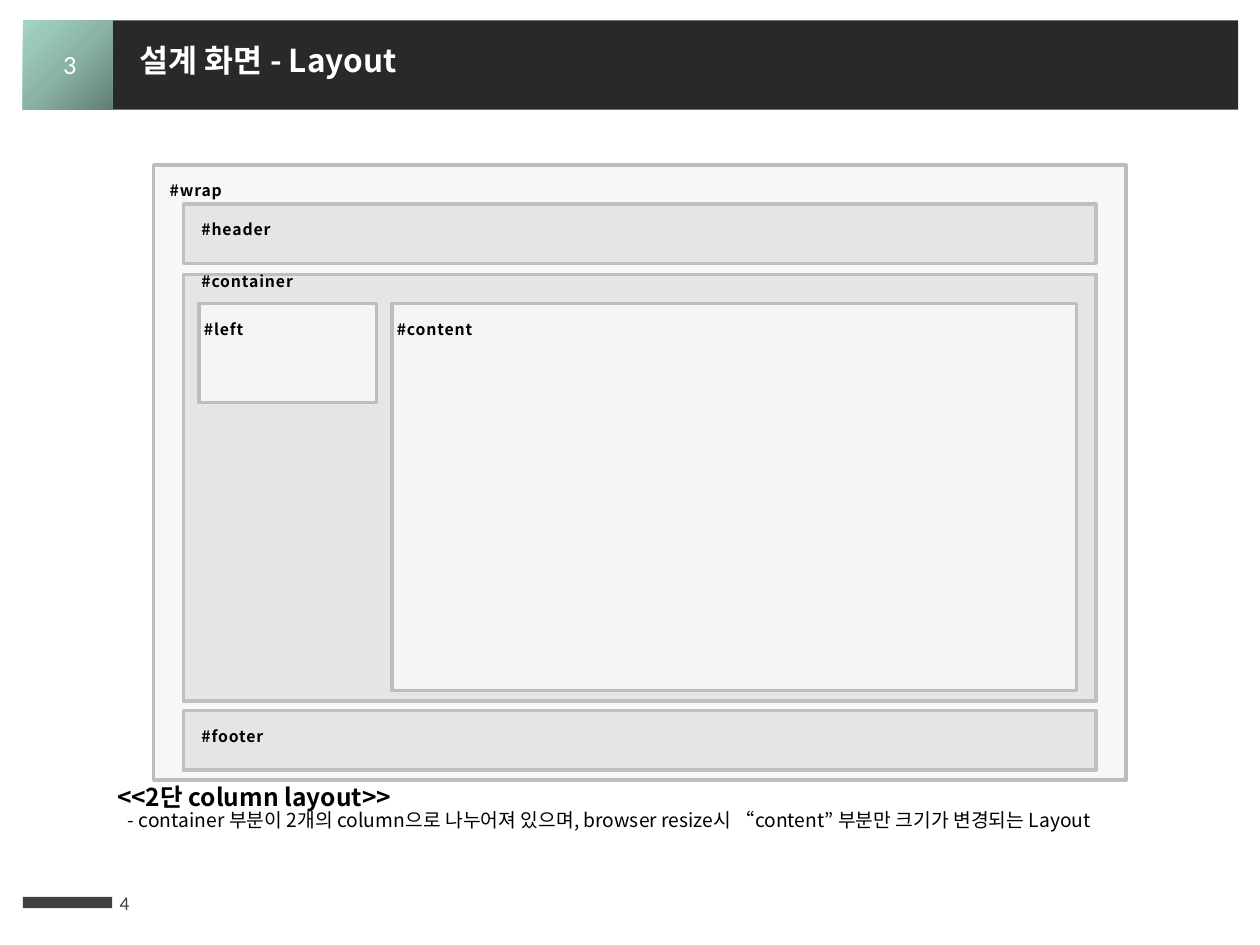
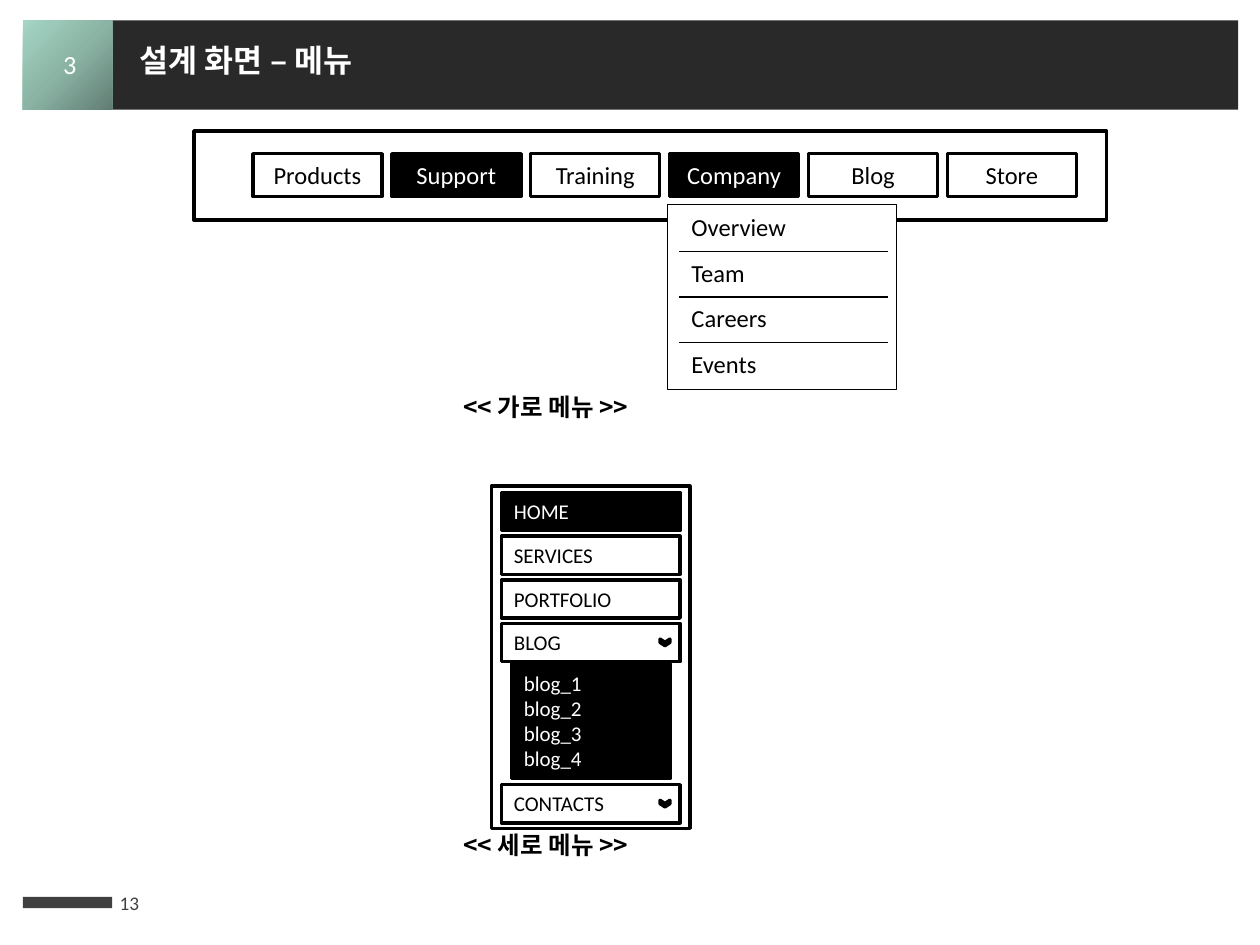
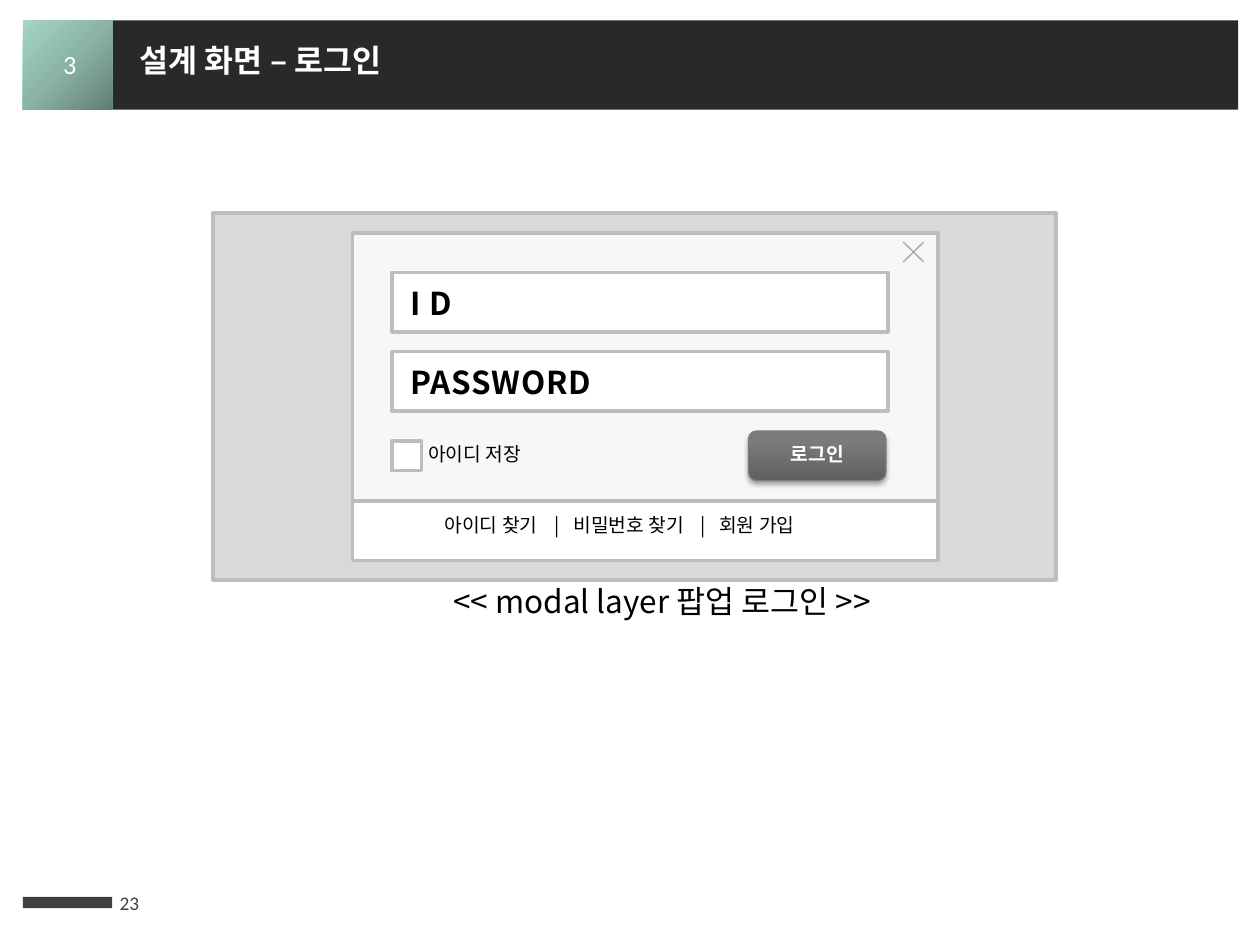
from lxml import etree
from pptx import Presentation
from pptx.dml.color import RGBColor as RGB
from pptx.enum.shapes import MSO_CONNECTOR as Link, MSO_SHAPE as Kind
from pptx.enum.text import MSO_ANCHOR as Anchor, PP_ALIGN as Align
from pptx.oxml import parse_xml
from pptx.oxml.ns import nsdecls, qn
from pptx.util import Cm, Pt

BLACK, WHITE = RGB(0, 0, 0), RGB(255, 255, 255)
BAND, FOOT = RGB(0x29, 0x29, 0x29), RGB(0x40, 0x40, 0x40)
EDGE, RIM = RGB(0xBD, 0xBD, 0xBD), RGB(0xBF, 0xBF, 0xBF)
PALE, GRAY, DIM = RGB(0xF7, 0xF7, 0xF7), RGB(0xE5, 0xE5, 0xE5), RGB(0xD9, 0xD9, 0xD9)
CROSS, STEEL = RGB(0xA6, 0xA6, 0xA6), RGB(0x7C, 0x7C, 0x7C)
MINT = [(0, "627E74"), (50, "8BB4A5"), (100, "A5D5C4")]
METAL = [(0, "5F5F5F"), (80, "7B7B7B"), (100, "7C7C7C")]
ROUND = '<a:path path="circle"><a:fillToRect l="100000" t="100000"/></a:path>'
UP = '<a:lin ang="16200000" scaled="0"/>'
SANS, KOR = "Calibri", "Noto Sans CJK KR"
TIGHT = 0.87

LAYOUT = [
    ("#wrap", (3.1, 3.33, 19.6, 12.4), PALE, EDGE, 0.32, 0.37),
    ("#container", (3.7, 5.53, 18.4, 8.6), GRAY, RIM, 0.36, 0),
    ("#content", (7.9, 6.12, 13.8, 7.8), None, EDGE, 0.1, 0.38),
    ("#left", (4.01, 6.12, 3.58, 2), None, EDGE, 0.1, 0.38),
    ("#header", (3.7, 4.11, 18.4, 1.2), GRAY, RIM, 0.36, 0.38),
    ("#footer", (3.7, 14.32, 18.4, 1.2), GRAY, RIM, 0.36, 0.38),
]
NOTE = ["<<2단 column layout>>",
        "- container 부분이 2개의 column으로 나누어져 있으며, browser resize시 “content” 부분만 크기가 변경되는 Layout"]
TABS = ["Products", "Support", "Training", "Company", "Blog", "Store"]
DROP = ["Overview", "Team", "Careers", "Events"]
SIDE = [("HOME", 9.93), ("SERVICES", 10.81), ("PORTFOLIO", 11.69),
        ("BLOG", 12.57), ("CONTACTS", 15.82)]
POSTS = ["blog_1", "blog_2", "blog_3", "blog_4"]
DARK, OPEN = {"Support", "Company", "HOME"}, {"BLOG", "CONTACTS"}
FIELDS = [("I D", 5.49), ("PASSWORD", 7.09)]
LINKS = ["아이디 찾기", "|", "비밀번호 찾기", "|", "회원 가입"]
STOPS = [2.22, 2.6, 5.16, 5.54]


def write(shape, lines, size, color=BLACK, font=SANS, bold=False, align=Align.LEFT,
          anchor=Anchor.TOP, inset=None, gap=None, track=0, stops=()):
    frame = shape.text_frame
    frame.word_wrap = True
    frame.vertical_anchor = anchor
    if inset:
        frame.margin_left, frame.margin_top = map(Cm, inset)
        frame.margin_right = frame.margin_bottom = 0
    lines = [lines] if isinstance(lines, str) else lines
    for i, line in enumerate(lines):
        para = frame.paragraphs[0] if i == 0 else frame.add_paragraph()
        para.text = line
        para.alignment = align
        if font == KOR:
            para.line_spacing = gap or TIGHT
        if stops:
            tabs = etree.SubElement(para._p.get_or_add_pPr(), qn("a:tabLst"))
            for stop in stops:
                etree.SubElement(tabs, qn("a:tab"), pos=str(Cm(stop)), algn="l")
        para.font.size, para.font.bold = Pt(size), bold
        para.font.name, para.font.color.rgb = font, color
        for run in para.runs:
            props = run._r.get_or_add_rPr()
            if track:
                props.set("spc", str(int(track * 100)))
            if font == KOR:
                etree.SubElement(props, qn("a:ea"), typeface=font)
    return frame


def box(slide, at, fill, line=None, width=2, kind=Kind.RECTANGLE):
    shape = slide.shapes.add_shape(kind, *map(Cm, at))
    shape.shadow.inherit = False
    shape.fill.solid()
    shape.fill.fore_color.rgb = fill
    if line is None:
        shape.line.fill.background()
    else:
        shape.line.color.rgb, shape.line.width = line, Pt(width)
    return shape


def text(slide, at, lines, size, **style):
    return write(slide.shapes.add_textbox(*map(Cm, at)), lines, size, **style)


def rule(slide, ends, color):
    line = slide.shapes.add_connector(Link.STRAIGHT, *map(Cm, ends))
    line.line.color.rgb, line.line.width = color, Pt(0.75)
    etree.SubElement(line._element.spPr, qn("a:effectLst"))


def blend(shape, stops, shade):
    marks = "".join(f'<a:gs pos="{pos * 1000}"><a:srgbClr val="{tone}"/></a:gs>'
                    for pos, tone in stops)
    props = shape._element.spPr
    props.replace(props.find(qn("a:solidFill")), parse_xml(
        f'<a:gradFill {nsdecls("a")} rotWithShape="1"><a:gsLst>{marks}</a:gsLst>{shade}</a:gradFill>'))


def veil(shape, share):
    tone = shape._element.spPr.find(qn("a:solidFill"))[0]
    etree.SubElement(tone, qn("a:alpha"), val=str(share * 1000))


def shade(shape):
    shape._element.spPr.find(qn("a:effectLst")).append(parse_xml(
        f'<a:outerShdw {nsdecls("a")} blurRad="{Pt(3.1)}" dist="{Pt(1.8)}" dir="5400000" rotWithShape="0">'
        '<a:srgbClr val="000000"><a:alpha val="35000"/></a:srgbClr></a:outerShdw>'))


def start(deck, title, page):
    slide = deck.slides.add_slide(deck.slide_layouts[6])
    box(slide, (2.26, 0.41, 22.7, 1.8), BAND)
    blend(box(slide, (0.46, 0.41, 1.8, 1.8), WHITE), MINT, ROUND)
    box(slide, (0.46, 18.08, 1.8, 0.23), FOOT)
    text(slide, (2.16, 17.7, 1.5, 1.02), page, 11, color=FOOT, anchor=Anchor.MIDDLE)
    text(slide, (2.57, 0.81, 17.75, 1.02), title, 18, color=WHITE, font=KOR, bold=True)
    text(slide, (0.71, 0.84, 1.4, 0.89), "3", 15, color=WHITE, align=Align.CENTER)
    return slide


def layout(deck):
    slide = start(deck, "설계 화면 - Layout", "4")
    for name, at, fill, line, left, top in LAYOUT:
        part = box(slide, at, fill or WHITE, line)
        if fill is None:
            veil(part, 60)
        write(part, name, 9, font=KOR, bold=True, inset=(left, top), track=0.5)
    frame = text(slide, (2.11, 15.72, 21.41, 1.32), NOTE, 14, font=KOR, bold=True)
    last = frame.paragraphs[1]
    last.font.size, last.font.bold = Pt(11), False
    last._p.get_or_add_pPr().set("marL", str(Cm(0.22)))


def button(slide, at, name, size, align):
    fill, ink = (BLACK, WHITE) if name in DARK else (WHITE, BLACK)
    write(box(slide, at, fill, BLACK), name, size, color=ink, align=align)


def menu(deck):
    slide = start(deck, "설계 화면 – 메뉴", "13")
    box(slide, (3.91, 2.64, 18.4, 1.8), WHITE, BLACK)
    for i, name in enumerate(TABS):
        button(slide, (5.1 + 2.8 * i, 3.1, 2.6, 0.86), name, 14, Align.CENTER)
    box(slide, (13.46, 4.11, 4.6, 3.73), WHITE, BLACK, 0.25)
    for i, name in enumerate(DROP):
        top = 4.15 + 0.92 * i
        text(slide, (13.69, top, 3.6, 0.86), name, 14)
        if i:
            rule(slide, (13.69, top, 17.91, top), BLACK)
    box(slide, (9.91, 9.8, 4, 6.9), WHITE, BLACK)
    for name, top in SIDE:
        button(slide, (10.11, top, 3.6, 0.77), name, 12, Align.LEFT)
        if name in OPEN:
            arrow = box(slide, (13.34, top + 0.28, 0.13, 0.2), BLACK, BLACK, kind=Kind.CHEVRON)
            arrow.rotation = 90
    write(box(slide, (10.31, 13.39, 3.2, 2.31), BLACK, BLACK), POSTS, 12, color=WHITE)
    for name, top in [("<< 가로 메뉴 >>", 7.85), ("<< 세로 메뉴 >>", 16.69)]:
        text(slide, (9.09, top, 5.7, 0.86), name, 14, font=KOR, bold=True)


def login(deck):
    slide = start(deck, "설계 화면 – 로그인", "23")
    text(slide, (8.89, 11.71, 10, 1.02), "<< modal layer 팝업 로그인 >>", 18, font=KOR)
    box(slide, (4.29, 4.29, 17, 7.4), DIM, EDGE)
    box(slide, (7.11, 4.7, 11.8, 5.4), PALE, EDGE)
    for name, top in FIELDS:
        write(box(slide, (7.9, top, 10, 1.2), WHITE, EDGE), name, 18, font=KOR,
              bold=True, inset=(0.37, 0), gap=1.3, track=0.5)
    for ends in [(18.62, 4.88, 18.21, 5.28), (18.62, 5.28, 18.21, 4.88)]:
        rule(slide, ends, CROSS)
    enter = box(slide, (15.09, 8.69, 2.77, 1), STEEL, STEEL, 0.75, Kind.ROUNDED_RECTANGLE)
    blend(enter, METAL, UP)
    shade(enter)
    write(enter, "로그인", 11, color=WHITE, font=KOR, bold=True,
          align=Align.CENTER, anchor=Anchor.MIDDLE)
    box(slide, (7.11, 10.1, 11.8, 1.2), WHITE, EDGE)
    text(slide, (8.71, 10.29, 8.6, 0.74), "\t".join(LINKS), 11, font=KOR, stops=STOPS)
    box(slide, (7.9, 8.89, 0.6, 0.6), WHITE, EDGE)
    text(slide, (8.38, 8.86, 2.6, 0.74), "아이디 저장", 11, font=KOR)


def main():
    deck = Presentation()
    deck.slide_width, deck.slide_height = Cm(25.4), Cm(19.05)
    for build in (layout, menu, login):
        build(deck)
    deck.save("out.pptx")


if __name__ == "__main__":
    main()
